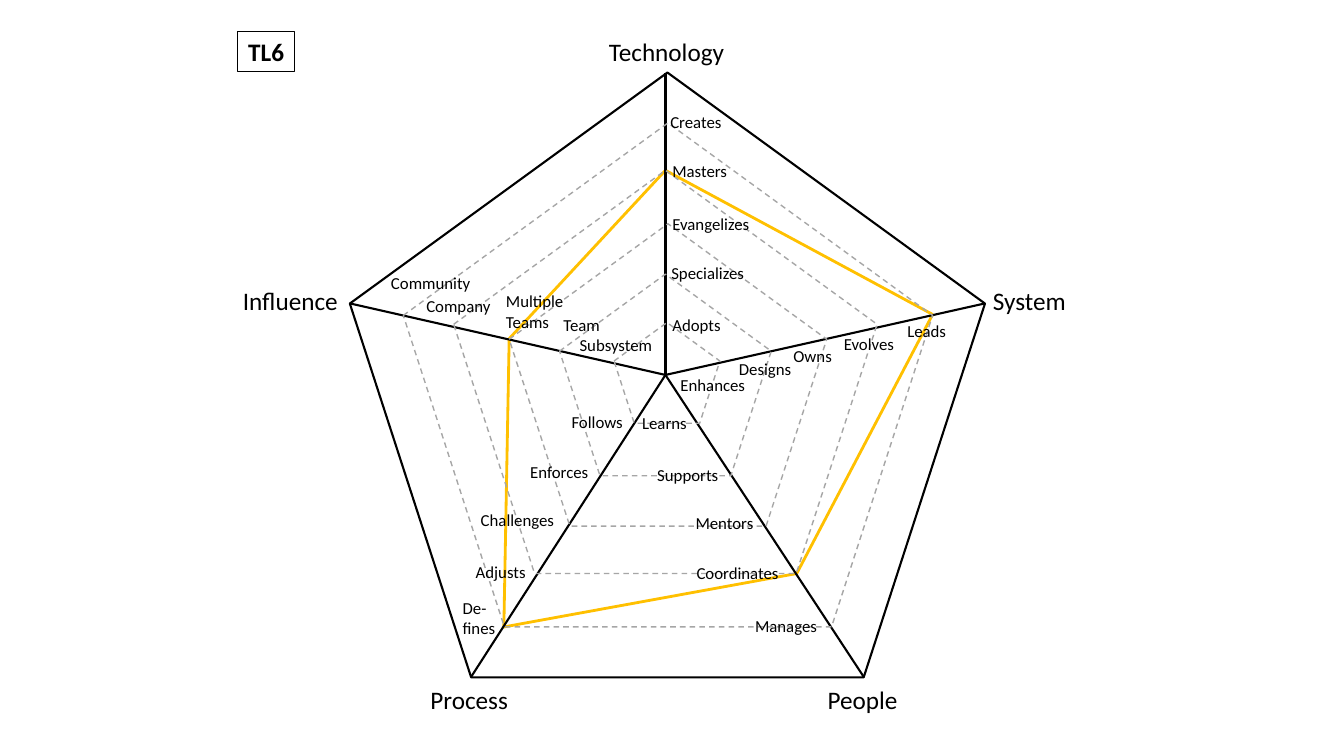
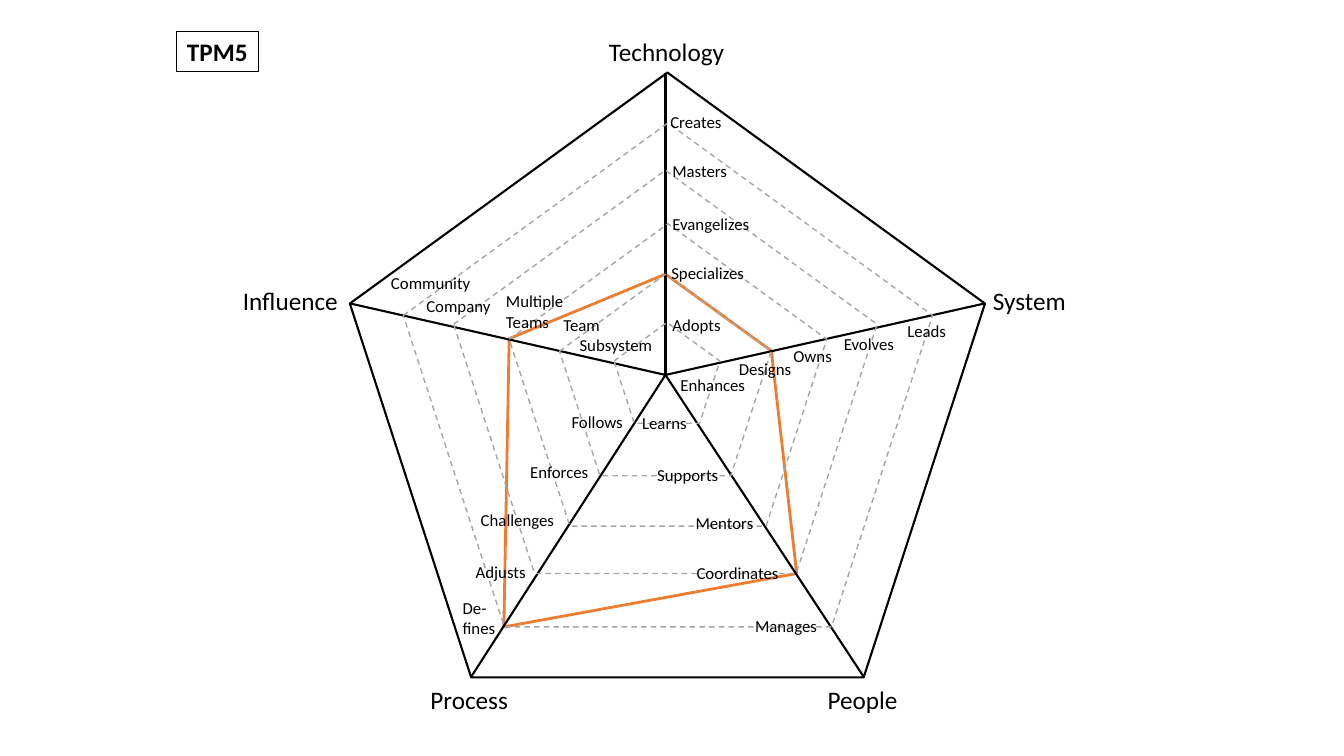
from dataclasses import dataclass
from typing import NamedTuple

from lxml import etree
from pptx import Presentation
from pptx.dml.color import RGBColor
from pptx.enum.dml import MSO_LINE
from pptx.enum.shapes import MSO_CONNECTOR, MSO_SHAPE
from pptx.enum.text import MSO_ANCHOR, MSO_AUTO_SIZE, PP_ALIGN
from pptx.oxml.ns import qn
from pptx.util import Inches, Pt

STRAIGHT = MSO_CONNECTOR.STRAIGHT
PENTAGON = MSO_SHAPE.REGULAR_PENTAGON
DASH = MSO_LINE.DASH
FIT_SHAPE, FIXED_SIZE = MSO_AUTO_SIZE.SHAPE_TO_FIT_TEXT, MSO_AUTO_SIZE.NONE
LEFT, CENTER = PP_ALIGN.LEFT, PP_ALIGN.CENTER
TOP = MSO_ANCHOR.TOP

BLACK = RGBColor(0x00, 0x00, 0x00)
GREY = RGBColor(0xA6, 0xA6, 0xA6)
GOLD = RGBColor(0xFF, 0xC0, 0x00)
ORANGE = RGBColor(0xED, 0x7D, 0x31)

FONT = "Calibri"
AXIS_SIZE, LEVEL_SIZE = 18, 12
TITLE_ONLY = 5
OUTER_LEVEL = 6


class Point(NamedTuple):
    """A position on the slide, in inches."""
    x: float
    y: float


class Label(NamedTuple):
    """A piece of text and the place of its box, in inches."""
    text: str
    left: float
    top: float
    width: float


@dataclass(frozen=True)
class Axis:
    """One direction of the radar, with its levels from the hub outwards."""
    name: Label
    spoke_end: Point
    corner: Point  # pentagon corner as a share of its width and height
    levels: tuple[Label, ...]


@dataclass(frozen=True)
class Role:
    """A role badge and the level reached on each axis, in axis order."""
    badge: Label
    color: RGBColor
    reached: tuple[int, ...]


HUB = Point(6.6, 3.72)
# Top left of the pentagon at each level; a level adds 1.05 by 1 inches.
RING_ORIGINS = {
    6: Point(3.47, 0.72), 5: Point(4, 1.22), 4: Point(4.5, 1.69),
    3: Point(5.05, 2.22), 2: Point(5.55, 2.72), 1: Point(6.09, 3.2),
}
RING_STEP = Point(1.05, 1)

AXES = (
    Axis(Label("Technology", 5.94, 0.31, 1.36), Point(6.6, 0.72), Point(0.5, 0), (
        Label("Adopts", 6.57, 3.07, 0.69),
        Label("Specializes", 6.56, 2.56, 0.93),
        Label("Evangelizes", 6.57, 2.07, 0.97),
        Label("Masters", 6.57, 1.55, 0.75),
        Label("Creates", 6.55, 1.06, 0.72),
    )),
    Axis(Label("System", 9.75, 2.78, 0.93), Point(9.77, 3.01), Point(1, 0.38), (
        Label("Enhances", 6.65, 3.67, 0.85),
        Label("Designs", 7.23, 3.51, 0.73),
        Label("Owns", 7.77, 3.38, 0.59),
        Label("Evolves", 8.27, 3.26, 0.71),
        Label("Leads", 8.9, 3.13, 0.59),
    )),
    Axis(Label("People", 8.11, 6.74, 0.9), Point(8.57, 6.72), Point(0.81, 1), (
        Label("Learns", 6.27, 4.05, 0.65),
        Label("Supports", 6.42, 4.56, 0.81),
        Label("Mentors", 6.8, 5.04, 0.78),
        Label("Coordinates", 6.81, 5.53, 1.02),
        Label("Manages", 7.39, 6.06, 0.82),
    )),
    Axis(Label("Process", 4.17, 6.74, 0.98), Point(4.67, 6.72), Point(0.19, 1), (
        Label("Follows", 5.57, 4.04, 0.72),
        Label("Enforces", 5.16, 4.53, 0.79),
        Label("Challenges", 4.67, 5.01, 0.94),
        Label("Adjusts", 4.62, 5.52, 0.7),
        Label("De-\nfines", 4.49, 5.88, 0.53),
    )),
    Axis(Label("Influence", 2.31, 2.78, 1.16), Point(3.47, 3.01), Point(0, 0.38), (
        Label("Subsystem", 5.65, 3.27, 0.93),
        Label("Team", 5.49, 3.07, 0.57),
        Label("Multiple\nTeams", 4.92, 2.84, 0.82),
        Label("Company", 4.13, 2.88, 0.84),
        Label("Community", 3.78, 2.66, 1),
    )),
)

ROLES = (
    Role(Label("TL6", 2.36, 0.31, 0.56), GOLD, (4, 5, 4, 5, 3)),
    Role(Label("TPM5", 1.75, 0.31, 0.81), ORANGE, (2, 2, 4, 5, 3)),
)


def ring_corner(axis: Axis, level: int) -> Point:
    """Return where an axis meets the pentagon of a level."""
    origin = RING_ORIGINS[level]
    return Point(origin.x + axis.corner.x * level * RING_STEP.x,
                 origin.y + axis.corner.y * level * RING_STEP.y)


def draw_line(slide, start: Point, end: Point, color: RGBColor, weight: float) -> None:
    """Draw a straight line without a shadow."""
    line = slide.shapes.add_connector(STRAIGHT, Inches(start.x), Inches(start.y),
                                      Inches(end.x), Inches(end.y))
    line.line.color.rgb = color
    line.line.width = Pt(weight)
    etree.SubElement(line._element.spPr, qn("a:effectLst"))


def draw_ring(slide, level: int) -> None:
    """Draw the pentagon of a level: solid for the outermost, else dashed."""
    origin = RING_ORIGINS[level]
    ring = slide.shapes.add_shape(PENTAGON, Inches(origin.x), Inches(origin.y),
                                  Inches(level * RING_STEP.x), Inches(level * RING_STEP.y))
    ring.shadow.inherit = False
    ring.fill.background()
    if level == OUTER_LEVEL:
        ring.line.color.rgb = BLACK
        ring.line.width = Pt(1.5)
    else:
        ring.line.color.rgb = GREY
        ring.line.width = Pt(1)
        ring.line.dash_style = DASH


def write_label(box, label: Label, size: int, align=LEFT, bold: bool = False) -> None:
    """Place a box and fill it with a label in the shared text style."""
    line_count = label.text.count("\n") + 1
    box.left, box.top = Inches(label.left), Inches(label.top)
    box.width, box.height = Inches(label.width), Inches(line_count * size / 60 + 0.1)
    frame = box.text_frame
    frame.text = label.text
    frame.vertical_anchor = TOP
    for paragraph in frame.paragraphs:
        paragraph.alignment = align
        for run in paragraph.runs:
            run.font.name = FONT
            run.font.size = Pt(size)
            run.font.bold = bold
            run.font.color.rgb = BLACK


def add_label(slide, label: Label, size: int) -> None:
    """Add a label in a new text box that fits its text."""
    box = slide.shapes.add_textbox(0, 0, 0, 0)
    write_label(box, label, size)
    box.text_frame.word_wrap = False
    box.text_frame.auto_size = FIT_SHAPE


def draw_badge(slide, badge: Label) -> None:
    """Turn the title into the framed role badge of a fixed size."""
    title = slide.shapes.title
    write_label(title, badge, AXIS_SIZE, CENTER, bold=True)
    frame = title.text_frame
    frame.word_wrap = True
    frame.auto_size = FIXED_SIZE
    frame.margin_left = frame.margin_right = 0
    title.line.color.rgb = BLACK
    title.line.width = Pt(0.75)


def draw_profile(slide, role: Role) -> None:
    """Join the levels that a role reaches on each axis."""
    corners = [ring_corner(axis, level) for axis, level in zip(AXES, role.reached)]
    for start, end in zip(corners, corners[1:] + corners[:1]):
        draw_line(slide, start, end, role.color, 2)


def draw_radar(slide) -> None:
    """Draw the rings, spokes and labels that every role shares."""
    draw_ring(slide, OUTER_LEVEL)
    for axis in AXES:
        draw_line(slide, HUB, axis.spoke_end, BLACK, 1.5)
    for level in range(OUTER_LEVEL - 1, 0, -1):
        draw_ring(slide, level)
    for axis in AXES:
        for label in axis.levels:
            add_label(slide, label, LEVEL_SIZE)
        add_label(slide, axis.name, AXIS_SIZE)


def build() -> None:
    """Build one radar slide for each role and save the deck."""
    deck = Presentation()
    deck.slide_width, deck.slide_height = Inches(13.33), Inches(7.5)
    for role in ROLES:
        slide = deck.slides.add_slide(deck.slide_layouts[TITLE_ONLY])
        draw_badge(slide, role.badge)
        draw_profile(slide, role)
        draw_radar(slide)
    deck.save("out.pptx")


build()
